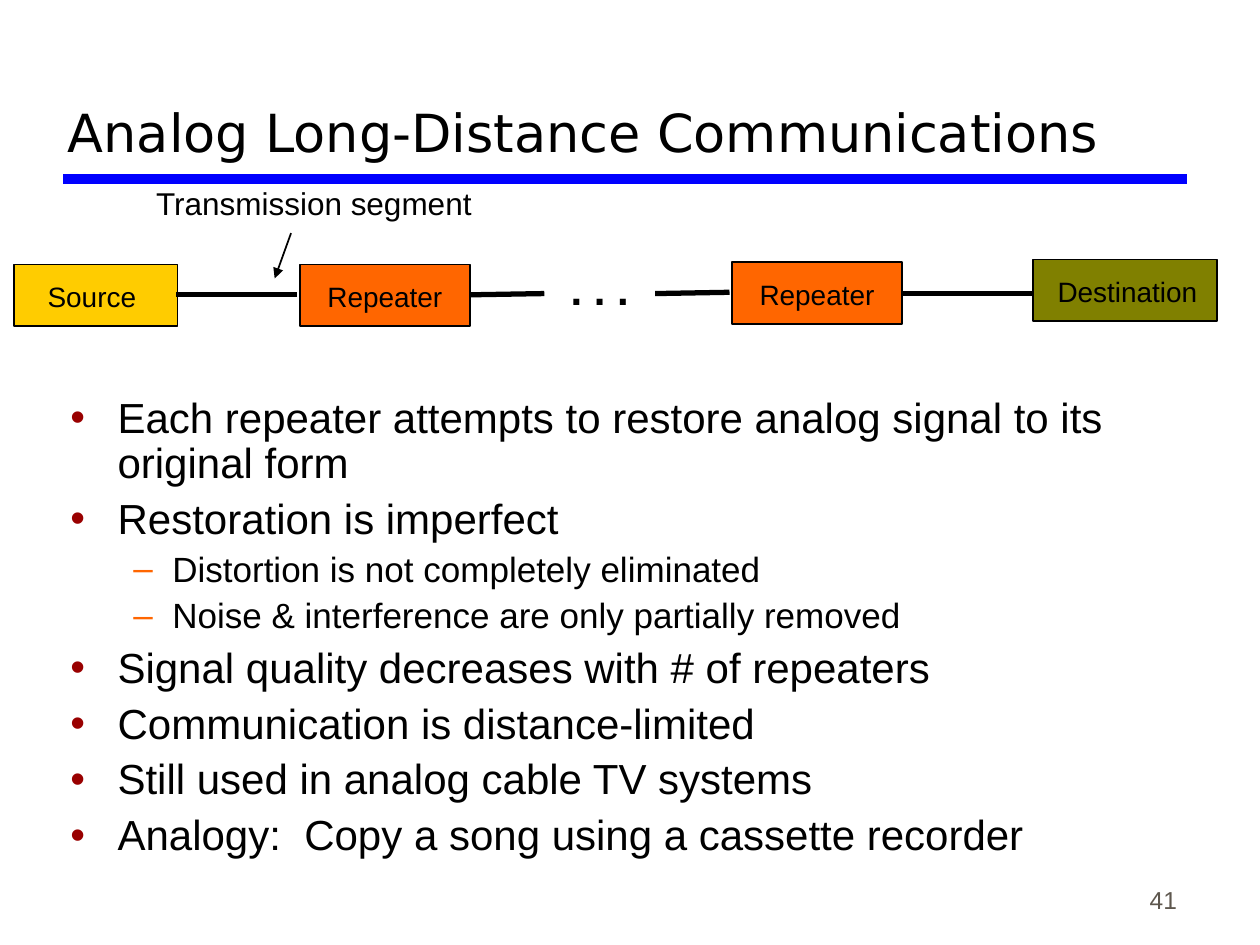
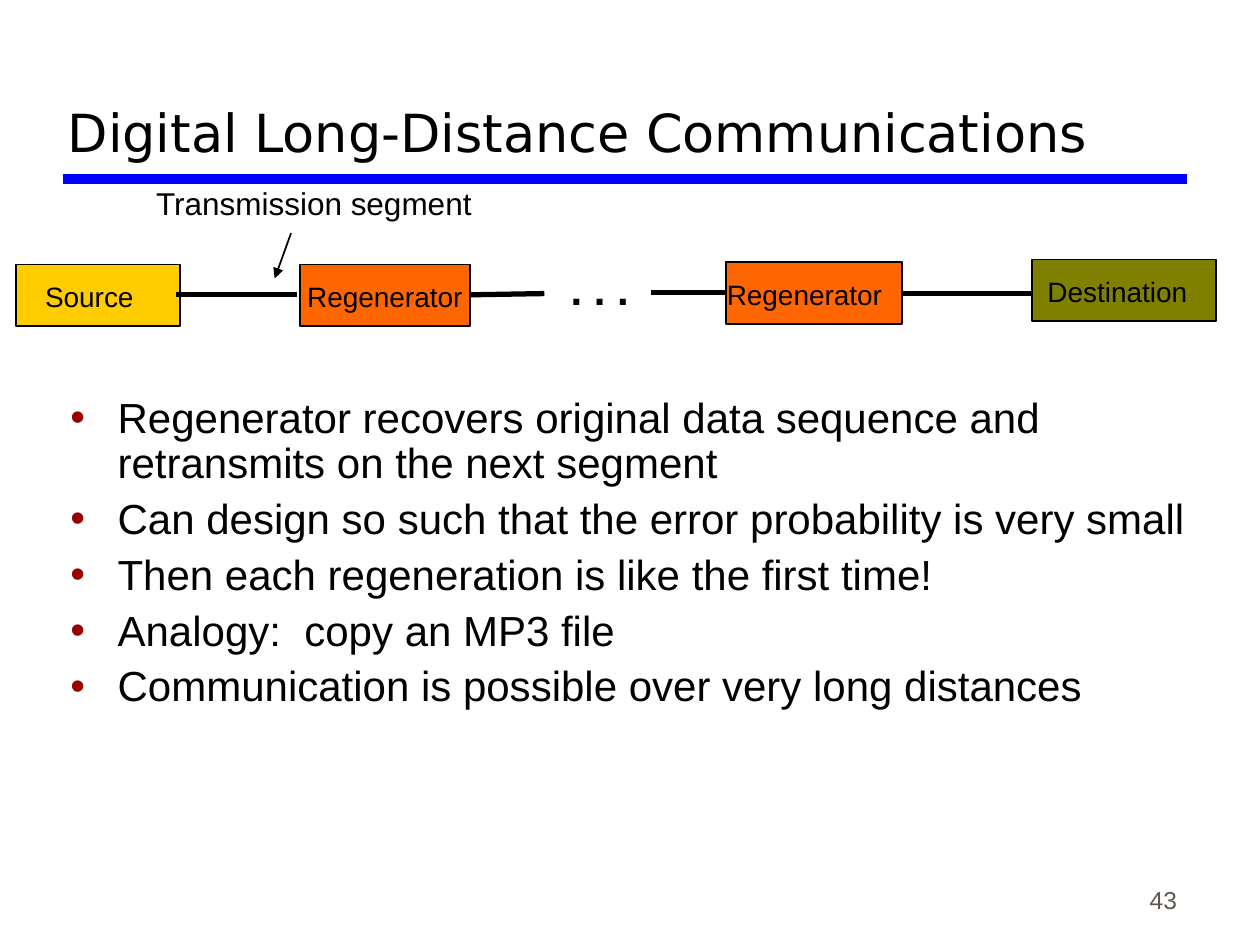
import dataclasses

import lxml.etree
import pptx
import pptx.dml.color
import pptx.enum.shapes
import pptx.enum.text
import pptx.oxml.ns
import pptx.util

COLUMNS, ROWS = 100, 75  # square grid cells over the whole slide
ALIGN = pptx.enum.text.PP_ALIGN
ANCHOR = pptx.enum.text.MSO_ANCHOR


@dataclasses.dataclass(frozen=True)
class Theme:
    heading_font: str = "DejaVu Sans"
    body_font: str = "Arial"
    ink: str = "000000"
    rule: str = "0000FF"
    page_number: str = "5E574E"
    source: str = "FFCC00"
    relay: str = "FF6600"
    destination: str = "808000"
    bullet: str = "990000"
    dash: str = "FF6600"
    title_size: int = 30
    body_size: int = 24
    detail_size: int = 20
    caption_size: int = 18
    node_size: int = 16
    number_size: int = 14


THEME = Theme()


@dataclasses.dataclass(frozen=True)
class Level:
    mark: str
    color: str
    size: int
    margin: float
    hanging: float
    space_before: int


LEVELS = (
    Level("•", THEME.bullet, THEME.body_size, 3.75, 3.75, 6),
    Level("–", THEME.dash, THEME.detail_size, 8.1, 3.1, 5),
)


@dataclasses.dataclass(frozen=True)
class Node:
    """A box in the chain; shift moves its label from the centre."""
    label: str
    color: str
    left: float
    top: float
    width: float
    shift: float = 0


NODE_HEIGHT = 4.9
LABEL_WIDTHS = {"Source": 9.6, "Repeater": 11.1, "Regenerator": 14.3, "Destination": 13.1}
SHARED_LINKS = (
    (14, 23.4, 23.6, 23.4),
    (37.3, 23.4, 43.2, 23.3),
    (71.5, 23.3, 81.9, 23.3),
)


class Page:
    """A blank slide addressed in grid cells."""

    def __init__(self, deck):
        self.shapes = deck.slides.add_slide(deck.slide_layouts[6]).shapes
        self.column = deck.slide_width / COLUMNS
        self.row = deck.slide_height / ROWS

    def place(self, left, top, width, height):
        return (round(left * self.column), round(top * self.row),
                round(width * self.column), round(height * self.row))


def rgb(color):
    return pptx.dml.color.RGBColor.from_string(color)


def add_element(parent, tag, **attributes):
    return lxml.etree.SubElement(parent, pptx.oxml.ns.qn(tag), **attributes)


def write(para, text, size=THEME.body_size, font=THEME.body_font,
          color=THEME.ink, bold=False, align=ALIGN.LEFT):
    para.alignment = align
    span = para.add_run()
    span.text = text
    span.font.name = font
    span.font.size = pptx.util.Pt(size)
    span.font.bold = bold
    span.font.color.rgb = rgb(color)


def add_frame(page, area, anchor=ANCHOR.TOP, wrap=True):
    frame = page.shapes.add_textbox(*page.place(*area)).text_frame
    frame.word_wrap = wrap
    frame.vertical_anchor = anchor
    return frame


def add_text(page, area, text, anchor=ANCHOR.TOP, wrap=True, **style):
    write(add_frame(page, area, anchor, wrap).paragraphs[0], text, **style)


def add_line(page, start_column, start_row, end_column, end_row,
             color=THEME.ink, weight=3, arrow=False):
    start = page.place(start_column, start_row, 0, 0)[:2]
    end = page.place(end_column, end_row, 0, 0)[:2]
    line = page.shapes.add_connector(
        pptx.enum.shapes.MSO_CONNECTOR.STRAIGHT, *start, *end)
    line.line.color.rgb = rgb(color)
    line.line.width = pptx.util.Pt(weight)
    if arrow:
        add_element(line.line._get_or_add_ln(), "a:tailEnd", type="triangle")
    add_element(line._element.spPr, "a:effectLst")


def add_node(page, node):
    box = page.shapes.add_shape(
        pptx.enum.shapes.MSO_SHAPE.RECTANGLE,
        *page.place(node.left, node.top, node.width, NODE_HEIGHT))
    box.shadow.inherit = False
    box.fill.solid()
    box.fill.fore_color.rgb = rgb(node.color)
    box.line.color.rgb = rgb(THEME.ink)
    box.line.width = pptx.util.Pt(1)
    label_width = LABEL_WIDTHS[node.label]
    label_left = node.left + (node.width - label_width) / 2 + node.shift
    add_text(page, (label_left, node.top + 0.7, label_width, 3.6),
             node.label, wrap=False, size=THEME.node_size)


def add_chain(page, nodes, resuming_link):
    """Draw the transmission path; resuming_link follows the ellipsis."""
    for node in nodes:
        add_node(page, node)
    for link in (*SHARED_LINKS, resuming_link):
        add_line(page, *link)
    add_text(page, (11.4, 14.1, 27.1, 4), "Transmission segment",
             wrap=False, size=THEME.caption_size)
    add_line(page, 23.1, 18.5, 21.8, 22.1, weight=1, arrow=True)
    add_text(page, (44.3, 20.4, 6.6, 5), ". . .", wrap=False,
             bold=True, align=ALIGN.CENTER)


def set_bullet(page, para, level):
    properties = para._p.get_or_add_pPr()
    properties.set("marL", str(round(level.margin * page.column)))
    properties.set("indent", str(round(-level.hanging * page.column)))
    add_element(add_element(properties, "a:buClr"), "a:srgbClr", val=level.color)
    add_element(properties, "a:buFont", typeface=THEME.body_font)
    add_element(properties, "a:buChar", char=level.mark)


def add_bullets(page, width, points):
    frame = add_frame(page, (4.6, 31, width, 42.1))
    for index, (depth, text) in enumerate(points):
        para = frame.add_paragraph() if index else frame.paragraphs[0]
        level = LEVELS[depth]
        set_bullet(page, para, level)
        para.level = depth
        para.line_spacing = 0.9
        para.space_before = pptx.util.Pt(level.space_before if index else 0)
        write(para, text, size=level.size)


def add_page(deck, title, number):
    page = Page(deck)
    add_line(page, 5, 14.2, 94.2, 14.2, color=THEME.rule, weight=6)
    add_text(page, (73.6, 68.1, 20.8, 5), str(number), anchor=ANCHOR.BOTTOM,
             size=THEME.number_size, color=THEME.page_number, align=ALIGN.RIGHT)
    add_text(page, (4.4, 1.7, 89.7, 11.7), title, anchor=ANCHOR.BOTTOM,
             size=THEME.title_size, font=THEME.heading_font)
    return page


def add_analog_page(deck):
    page = add_page(deck, "Analog Long-Distance Communications", 41)
    add_bullets(page, 90, (
        (0, "Each repeater attempts to restore analog signal to its original form"),
        (0, "Restoration is imperfect"),
        (1, "Distortion is not completely eliminated"),
        (1, "Noise & interference are only partially removed"),
        (0, "Signal quality decreases with # of repeaters"),
        (0, "Communication is distance-limited"),
        (0, "Still used in analog cable TV systems"),
        (0, "Analogy:  Copy a song using a cassette recorder"),
    ))
    add_chain(page, (
        Node("Source", THEME.source, 1.1, 21, 13),
        Node("Repeater", THEME.relay, 23.8, 21, 13.5),
        Node("Repeater", THEME.relay, 58.1, 20.8, 13.5),
        Node("Destination", THEME.destination, 82, 20.6, 14.6, shift=0.2),
    ), (52, 23.3, 57.9, 23.2))


def add_digital_page(deck):
    page = add_page(deck, "Digital Long-Distance Communications", 43)
    add_bullets(page, 93.1, (
        (0, "Regenerator recovers original data sequence and retransmits on the next segment"),
        (0, "Can design so such that the error probability is very small"),
        (0, "Then each regeneration is like the first time!"),
        (0, "Analogy:  copy an MP3 file"),
        (0, "Communication is possible over very long distances"),
    ))
    add_chain(page, (
        Node("Source", THEME.source, 1.3, 21, 13, shift=-0.4),
        Node("Regenerator", THEME.relay, 23.8, 21, 13.5),
        Node("Regenerator", THEME.relay, 57.6, 20.8, 14, shift=-0.75),
        Node("Destination", THEME.destination, 81.9, 20.6, 14.6, shift=-0.5),
    ), (51.7, 23.2, 57.5, 23.2))


def main():
    deck = pptx.Presentation()
    deck.slide_width = pptx.util.Inches(10)
    deck.slide_height = pptx.util.Inches(7.5)
    add_analog_page(deck)
    add_digital_page(deck)
    deck.save("out.pptx")


if __name__ == "__main__":
    main()
